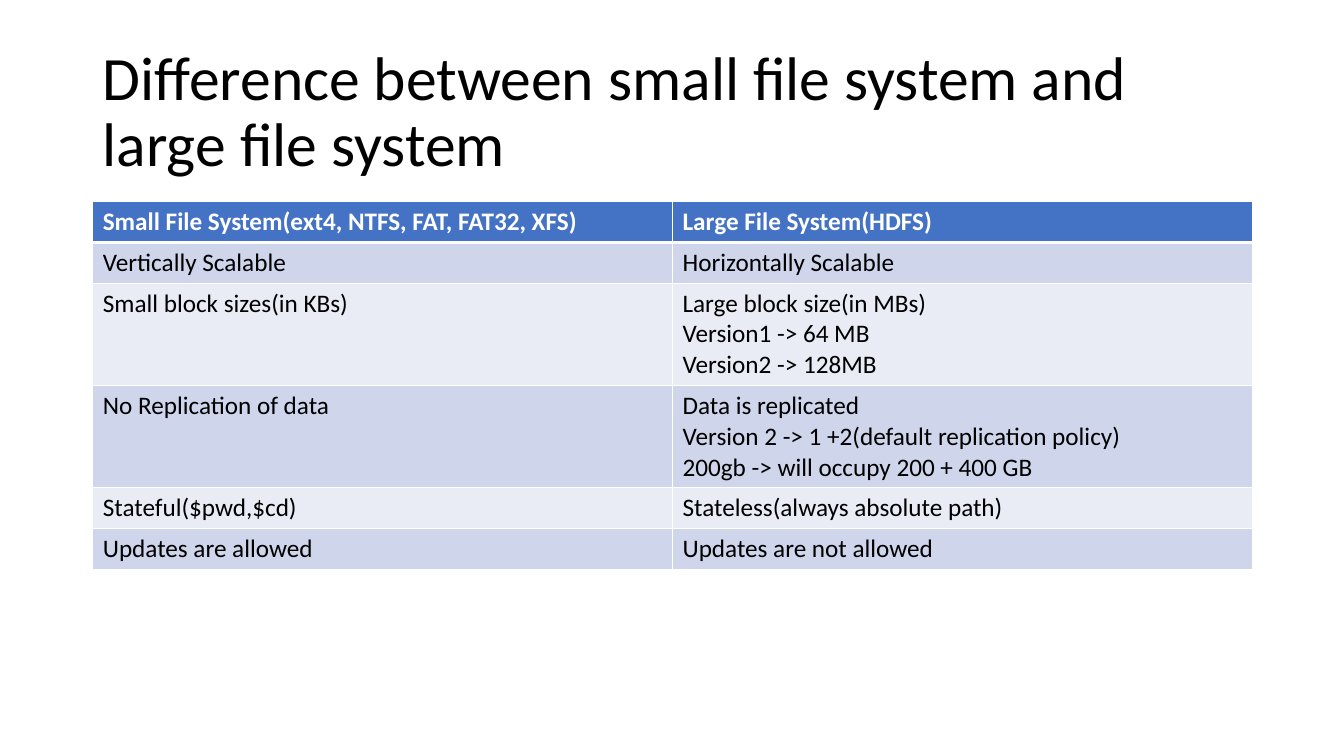
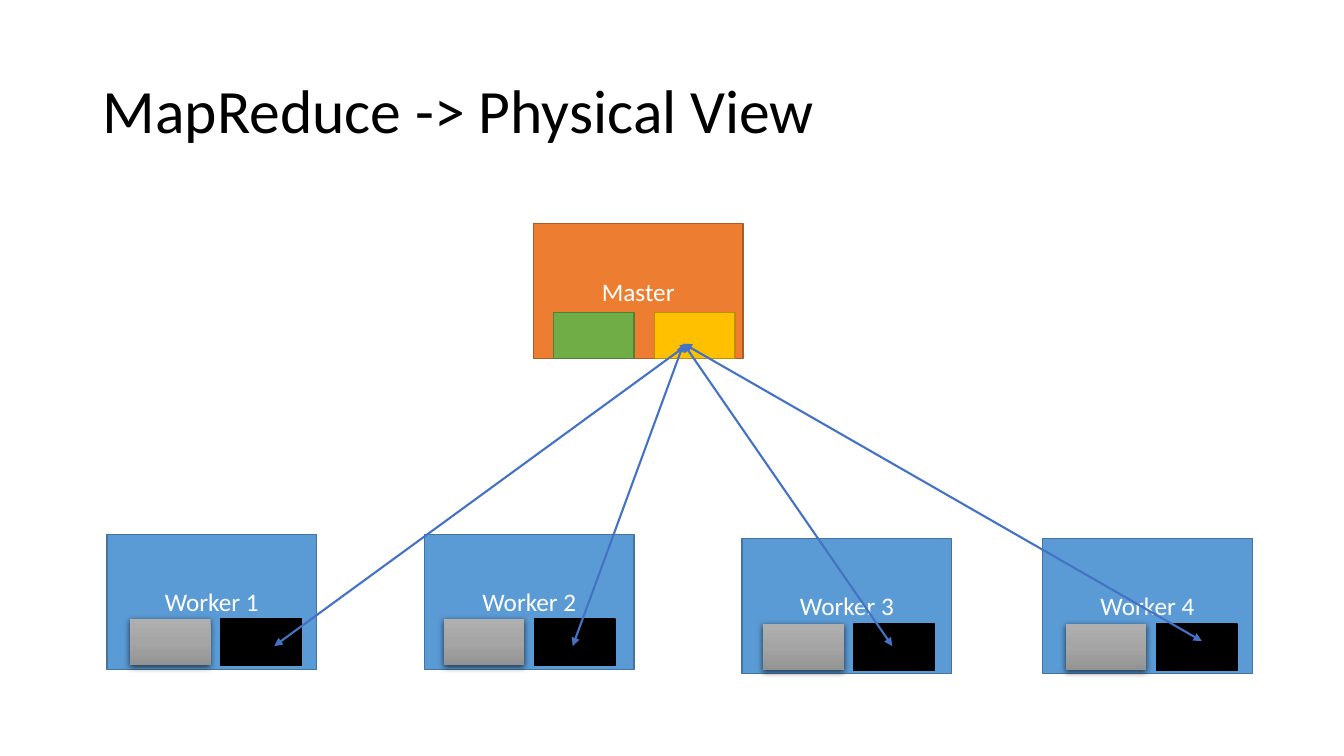
from copy import deepcopy

from lxml import etree
from pptx import Presentation
from pptx import util as u
from pptx.dml.color import RGBColor
from pptx.enum import shapes, text
from pptx.oxml.ns import qn

WIDTH, HEIGHT = 13.33, 7.5
FONT = "Calibri"
BLACK, WHITE, BLUE = "000000", "FFFFFF", "4472C4"
BANDS = ("E9EBF5", "CFD5EA")
GREY_STOPS = ((0, "AFAFAF"), (0.5, "A5A5A5"), (1, "939393"))
TITLE_BOX = (0.92, 0.4, 11.5, 1.45)
TABLE_BOX = (0.92, 2, 11.5)
LINE_HEIGHT, CELL_PADDING = 0.305, 0.1
NODE_SIZE = (2.08, 1.34)
PROCESS_SIZE = (0.8, 0.46)
PROCESS_PITCH = 0.9

ROWS = (
    ("Small File System(ext4, NTFS, FAT, FAT32, XFS)", "Large File System(HDFS)"),
    ("Vertically Scalable", "Horizontally Scalable"),
    ("Small block sizes(in KBs)",
     "Large block size(in MBs)\nVersion1 -> 64 MB\nVersion2 -> 128MB"),
    ("No Replication of data",
     "Data is replicated\nVersion 2 -> 1 +2(default replication policy)\n"
     "200gb -> will occupy 200 + 400 GB"),
    ("Stateful($pwd,$cd)", "Stateless(always absolute path)"),
    ("Updates are allowed", "Updates are not allowed"),
)
# Worker left and top, inset of its processes, arrow start and arrow end
WORKERS = (
    ((1.06, 5.3), (0.23, 0.84), (2.72, 6.41), (6.83, 3.41)),
    ((4.21, 5.3), (0.19, 0.84), (5.68, 6.41), (6.78, 3.41)),
    ((7.36, 5.34), (0.21, 0.85), (8.85, 6.41), (6.78, 3.41)),
    ((10.34, 5.34), (0.23, 0.85), (11.92, 6.36), (6.78, 3.41)),
)


def color(value):
    """Turn a hex string into a colour."""
    return RGBColor.from_string(value)


def inches(values):
    """Turn numbers into lengths in inches."""
    return [u.Inches(value) for value in values]


def write(frame, content, size=18, ink=BLACK, bold=False, spacing=None,
          align=text.PP_ALIGN.LEFT):
    """Write each line of the content as a formatted paragraph."""
    frame.word_wrap = True
    for index, line in enumerate(content.split("\n")):
        paragraph = frame.add_paragraph() if index else frame.paragraphs[0]
        paragraph.alignment = align
        if spacing:
            paragraph.line_spacing = spacing
        run = paragraph.add_run()
        run.text = line
        run.font.name, run.font.size = FONT, u.Pt(size)
        run.font.bold, run.font.color.rgb = bold, color(ink)


def add_titled_slide(presentation, title):
    """Add a blank slide with the shared title style."""
    slide = presentation.slides.add_slide(presentation.slide_layouts[6])
    frame = slide.shapes.add_textbox(*inches(TITLE_BOX)).text_frame
    frame.vertical_anchor = text.MSO_ANCHOR.MIDDLE
    write(frame, title, size=44, spacing=0.9)
    return slide


def add_border(cell, side, width):
    """Draw one white border of a cell."""
    line = etree.SubElement(cell._tc.get_or_add_tcPr(), qn(f"a:ln{side}"),
                            w=str(u.Pt(width)))
    fill = etree.SubElement(line, qn("a:solidFill"))
    etree.SubElement(fill, qn("a:srgbClr"), val=WHITE)


def add_comparison(slide, box, rows):
    """Fill the box with a banded table whose rows fit their text."""
    left, top, width = box
    heights = [CELL_PADDING + LINE_HEIGHT * max(len(item.split("\n")) for item in row)
               for row in rows]
    table = slide.shapes.add_table(
        len(rows), len(rows[0]), *inches((left, top, width, sum(heights)))).table
    for row_index, row in enumerate(rows):
        header = row_index == 0
        table.rows[row_index].height = u.Inches(heights[row_index])
        for column, content in enumerate(row):
            cell = table.cell(row_index, column)
            for side in "LRTB":
                below_header = (row_index, side) in ((0, "B"), (1, "T"))
                add_border(cell, side, 3 if below_header else 1)
            cell.fill.solid()
            cell.fill.fore_color.rgb = color(BLUE if header else BANDS[row_index % 2])
            write(cell.text_frame, content, ink=WHITE if header else BLACK, bold=header)


def add_box(slide, position, size, fill=None, outline=None, label=""):
    """Add a rectangle with an optional fill, outline and centred label."""
    shape = slide.shapes.add_shape(shapes.MSO_SHAPE.RECTANGLE,
                                   *inches((*position, *size)))
    shape.shadow.inherit = False
    if fill:
        shape.fill.solid()
        shape.fill.fore_color.rgb = color(fill)
    if outline:
        shape.line.color.rgb = color(outline)
        shape.line.width = u.Pt(1)
    else:
        shape.line.fill.background()
    if label:
        shape.text_frame.vertical_anchor = text.MSO_ANCHOR.MIDDLE
        write(shape.text_frame, label, ink=WHITE, align=text.PP_ALIGN.CENTER)
    return shape


def add_grey_process(slide, position):
    """Add a process box with a grey gradient and a soft shadow."""
    shape = add_box(slide, position, PROCESS_SIZE)
    shape.fill.gradient()
    shape.fill.gradient_angle = 270
    properties = shape._element.spPr
    stops = properties.find(qn("a:gradFill")).find(qn("a:gsLst"))
    stops.insert(1, deepcopy(stops[0]))
    for stop, (place, value) in zip(shape.fill.gradient_stops, GREY_STOPS):
        stop.position, stop.color.rgb = place, color(value)
    shadow = etree.SubElement(
        properties.find(qn("a:effectLst")), qn("a:outerShdw"), blurRad=str(u.Pt(4.5)),
        dist=str(u.Pt(1.5)), dir="5400000", algn="ctr", rotWithShape="0")
    ink = etree.SubElement(shadow, qn("a:srgbClr"), val=BLACK)
    etree.SubElement(ink, qn("a:alpha"), val="63000")


def add_master(slide, position):
    """Add the master node with its two processes."""
    left, top = position
    add_box(slide, position, NODE_SIZE, "ED7D31", "AF5C24", "Master")
    process_top = top + NODE_SIZE[1] - PROCESS_SIZE[1]
    add_box(slide, (left + 0.2, process_top), PROCESS_SIZE, "70AD47", "538035")
    add_box(slide, (left + 1.2, process_top), PROCESS_SIZE, "FFC000", "BD8E00")


def add_worker(slide, position, inset, label):
    """Add a worker node with a grey and a black process."""
    add_box(slide, position, NODE_SIZE, "5B9BD5", "43739E", label)
    left, top = position[0] + inset[0], position[1] + inset[1]
    add_grey_process(slide, (left, top))
    add_box(slide, (left + PROCESS_PITCH, top), PROCESS_SIZE, BLACK, BLACK)


def add_double_arrow(slide, start, end):
    """Join two points with a line that has an arrowhead at each end."""
    arrow = slide.shapes.add_connector(shapes.MSO_CONNECTOR.STRAIGHT,
                                       *inches((*start, *end)))
    arrow.line.color.rgb = color(BLUE)
    arrow.line.width = u.Pt(1.5)
    for tip in ("headEnd", "tailEnd"):
        etree.SubElement(arrow.line._get_or_add_ln(), qn(f"a:{tip}"), type="triangle")
    etree.SubElement(arrow._element.spPr, qn("a:effectLst"))


def build_comparison_slide(presentation):
    """Build the slide that compares file systems."""
    slide = add_titled_slide(
        presentation, "Difference between small file system and large file system")
    add_comparison(slide, TABLE_BOX, ROWS)


def build_cluster_slide(presentation):
    """Build the slide with one master and its workers."""
    slide = add_titled_slide(presentation, "MapReduce -> Physical View")
    add_master(slide, (5.29, 2.22))
    for number, (position, inset, _, _) in enumerate(WORKERS, 1):
        add_worker(slide, position, inset, f"Worker {number}")
    for _, _, start, end in WORKERS:
        add_double_arrow(slide, start, end)


def main():
    """Build and save the presentation."""
    presentation = Presentation()
    presentation.slide_width, presentation.slide_height = inches((WIDTH, HEIGHT))
    build_comparison_slide(presentation)
    build_cluster_slide(presentation)
    presentation.save("out.pptx")


main()
